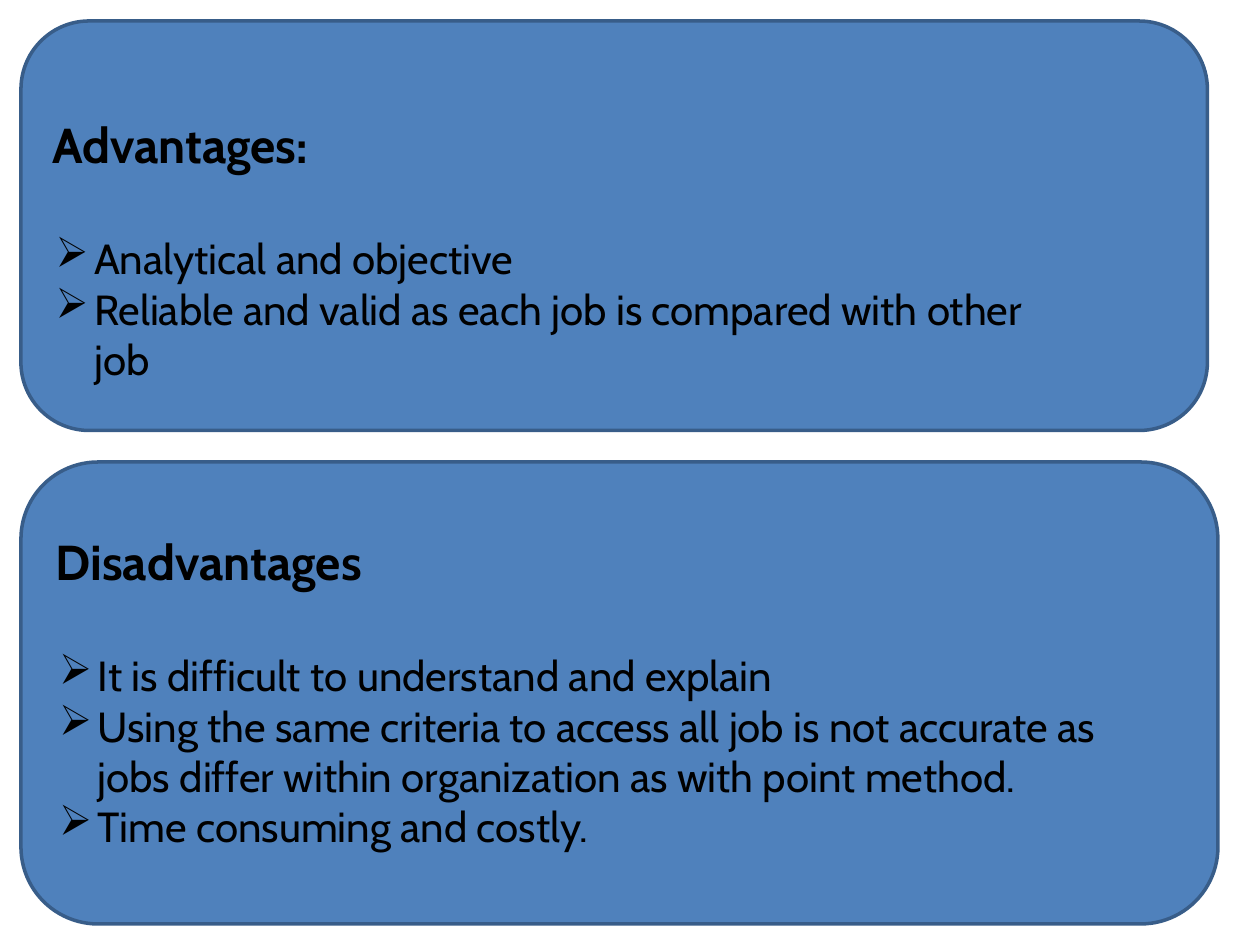
from lxml import etree
from pptx import Presentation
from pptx.dml.color import RGBColor
from pptx.enum.shapes import MSO_SHAPE as SHAPE
from pptx.oxml.ns import qn
from pptx.util import Pt

FONT = "Cabin"
BLACK, BLUE, NAVY = "000000", "4F81BC", "385D89"


def rgb(value):
    return RGBColor.from_string(value)


def add_bullet(p):
    """Give the paragraph a hanging arrow bullet."""
    pPr = p._p.get_or_add_pPr()
    pPr.set("marL", str(Pt(24)))
    pPr.set("indent", str(Pt(-22)))
    etree.SubElement(pPr, qn("a:buChar")).set("char", "➢")


prs = Presentation()
prs.slide_width, prs.slide_height = Pt(720), Pt(540)
s = prs.slides.add_slide(prs.slide_layouts[6])

# Heading, panel box, text box (left, top, width, height), bullet points
panels = [
    ("Advantages:", (12, 12, 678, 234), (29.8, 65.7, 577, 154), [
        "Analytical and objective",
        "Reliable and valid as each job is compared with other job",
    ]),
    ("Disadvantages", (12, 264, 684, 264), (31.8, 303.9, 627, 183), [
        "It is difficult to understand and explain",
        "Using the same criteria to access all job is not accurate as "
        "jobs differ within organization as with point method.",
        "Time consuming and costly.",
    ]),
]

for heading, panel_box, text_box, points in panels:
    sp = s.shapes.add_shape(SHAPE.ROUNDED_RECTANGLE, *map(Pt, panel_box))
    sp.shadow.inherit = False
    sp.fill.solid()
    sp.fill.fore_color.rgb = rgb(BLUE)
    sp.line.color.rgb = rgb(NAVY)
    sp.line.width = Pt(2)

    tf = s.shapes.add_textbox(*map(Pt, text_box)).text_frame
    tf.word_wrap = True
    for side in ("left", "top", "right", "bottom"):
        setattr(tf, f"margin_{side}", 0)

    for i, text in enumerate([heading, *points]):
        is_heading = i == 0
        p = tf.paragraphs[0] if is_heading else tf.add_paragraph()
        if is_heading:
            p.space_after = Pt(33.7)
        else:
            add_bullet(p)
        r = p.add_run()
        r.text = text
        style = {"name": FONT, "size": Pt(28 if is_heading else 24), "bold": is_heading}
        for key, value in style.items():
            setattr(r.font, key, value)
        r.font.color.rgb = rgb(BLACK)

prs.save("out.pptx")
